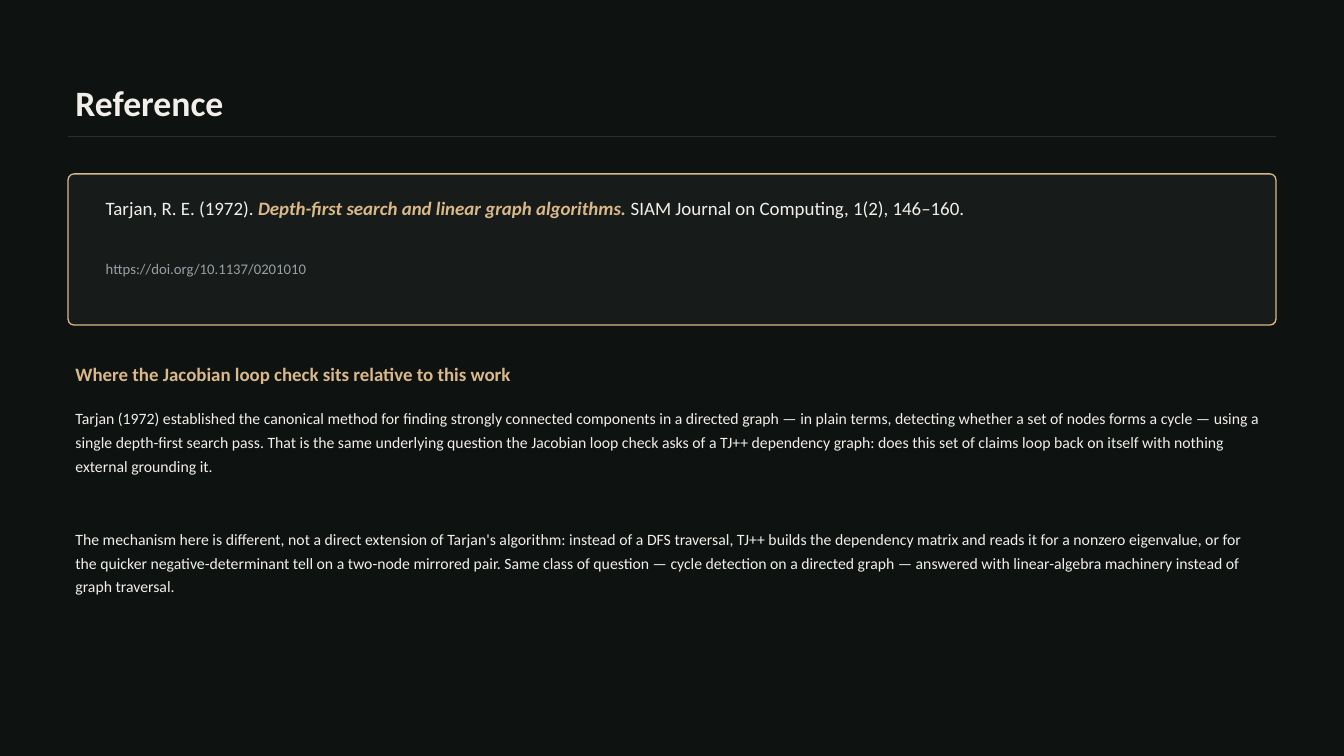
from dataclasses import dataclass

from lxml import etree
from pptx import Presentation
from pptx.dml.color import RGBColor
from pptx.enum.shapes import MSO_CONNECTOR, MSO_SHAPE
from pptx.enum.text import MSO_ANCHOR
from pptx.oxml.ns import qn
from pptx.slide import Slide
from pptx.util import Inches, Pt

STRAIGHT = MSO_CONNECTOR.STRAIGHT
ROUNDED = MSO_SHAPE.ROUNDED_RECTANGLE
TOP = MSO_ANCHOR.TOP
MIDDLE = MSO_ANCHOR.MIDDLE

FONT = "Calibri"
COLORS = {
    "background": "0E1210",
    "panel": "171B19",
    "rule": "2A2E2C",
    "ink": "F2EFEA",
    "accent": "D9B88A",
    "muted": "9AA0A6",
}
MARGIN = 0.9
CARD_WIDTH = 15.98
TEXT_WIDTH = 15.9
CARD_TEXT_LEFT = 1.3
CARD_TEXT_WIDTH = 15.2


@dataclass(frozen=True)
class Span:
    text: str
    size: float
    color: str = "ink"
    bold: bool = False
    italic: bool = False


@dataclass(frozen=True)
class TextBlock:
    top: float
    height: float
    spans: tuple[Span, ...]
    left: float = MARGIN
    width: float = TEXT_WIDTH
    anchor: MSO_ANCHOR = MIDDLE
    line_spacing: float = 1.0


TEXT_BLOCKS = (
    TextBlock(0.9, 0.9, (Span("Reference", 34, bold=True),)),
    TextBlock(
        2.55,
        0.7,
        (
            Span("Tarjan, R. E. (1972). ", 18),
            Span("Depth-first search and linear graph algorithms.", 18, "accent", True, True),
            Span(" SIAM Journal on Computing, 1(2), 146–160.", 18),
        ),
        CARD_TEXT_LEFT,
        CARD_TEXT_WIDTH,
        TOP,
    ),
    TextBlock(
        3.35,
        0.4,
        (Span("https://doi.org/10.1137/0201010", 14, "muted"),),
        CARD_TEXT_LEFT,
        CARD_TEXT_WIDTH,
    ),
    TextBlock(
        4.7,
        0.5,
        (Span("Where the Jacobian loop check sits relative to this work", 18, "accent", True),),
    ),
    TextBlock(
        5.3,
        1.5,
        (
            Span(
                "Tarjan (1972) established the canonical method for finding strongly connected "
                "components in a directed graph — in plain terms, detecting whether a set of nodes "
                "forms a cycle — using a single depth-first search pass. That is the same underlying "
                "question the Jacobian loop check asks of a TJ++ dependency graph: does this set of "
                "claims loop back on itself with nothing external grounding it.",
                15,
            ),
        ),
        anchor=TOP,
        line_spacing=1.25,
    ),
    TextBlock(
        6.9,
        1.6,
        (
            Span(
                "The mechanism here is different, not a direct extension of Tarjan's algorithm: "
                "instead of a DFS traversal, TJ++ builds the dependency matrix and reads it for a "
                "nonzero eigenvalue, or for the quicker negative-determinant tell on a two-node "
                "mirrored pair. Same class of question — cycle detection on a directed graph — "
                "answered with linear-algebra machinery instead of graph traversal.",
                15,
            ),
        ),
        anchor=TOP,
        line_spacing=1.25,
    ),
)


def color(name: str) -> RGBColor:
    return RGBColor.from_string(COLORS[name])


def draw_title_rule(page: Slide) -> None:
    rule = page.shapes.add_connector(
        STRAIGHT, Inches(MARGIN), Inches(1.8), Inches(MARGIN + CARD_WIDTH), Inches(1.8)
    )
    rule.line.color.rgb = color("rule")
    rule.line.width = Pt(1)
    etree.SubElement(rule._element.spPr, qn("a:effectLst"))


def draw_citation_card(page: Slide) -> None:
    card = page.shapes.add_shape(
        ROUNDED, Inches(MARGIN), Inches(2.3), Inches(CARD_WIDTH), Inches(2)
    )
    card.adjustments[0] = 0.04
    card.shadow.inherit = False
    card.fill.solid()
    card.fill.fore_color.rgb = color("panel")
    card.line.color.rgb = color("accent")
    card.line.width = Pt(1.25)


def draw_text(page: Slide, block: TextBlock) -> None:
    box = page.shapes.add_textbox(
        Inches(block.left), Inches(block.top), Inches(block.width), Inches(block.height)
    )
    frame = box.text_frame
    frame.word_wrap = True
    frame.vertical_anchor = block.anchor
    para = frame.paragraphs[0]
    para.line_spacing = block.line_spacing
    for span in block.spans:
        run = para.add_run()
        run.text = span.text
        run.font.name = FONT
        run.font.size = Pt(span.size)
        run.font.bold = span.bold
        run.font.italic = span.italic
        run.font.color.rgb = color(span.color)


def main() -> None:
    deck = Presentation()
    deck.slide_width = Inches(17.78)
    deck.slide_height = Inches(10)
    page = deck.slides.add_slide(deck.slide_layouts[6])
    page.background.fill.solid()
    page.background.fill.fore_color.rgb = color("background")
    draw_title_rule(page)
    draw_citation_card(page)
    for block in TEXT_BLOCKS:
        draw_text(page, block)
    deck.save("out.pptx")


if __name__ == "__main__":
    main()
